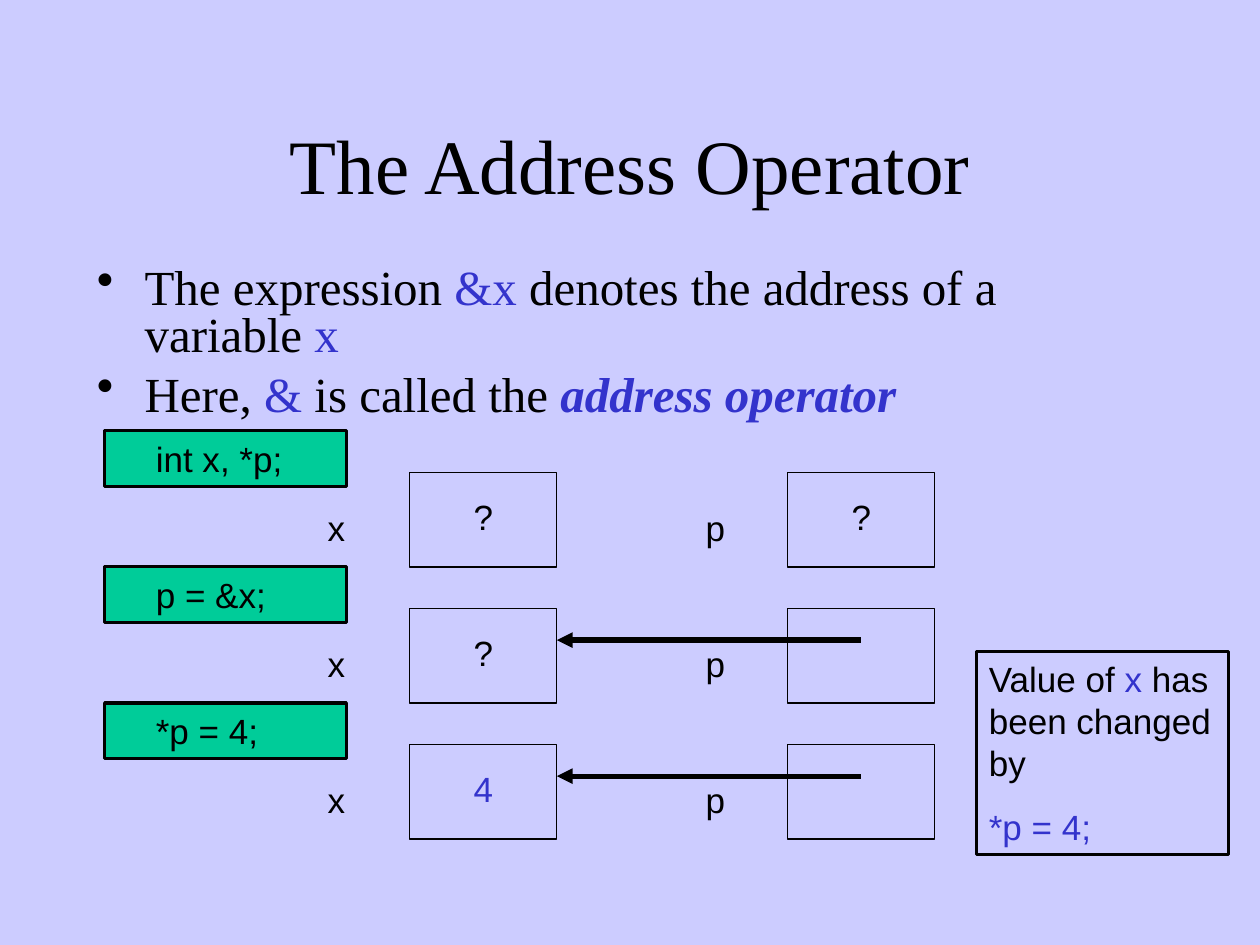
import dataclasses

import pptx
import pptx.dml.color
import pptx.enum.shapes
import pptx.enum.text
import pptx.oxml.xmlchemy
import pptx.util

Inches = pptx.util.Inches
Pt = pptx.util.Pt


@dataclasses.dataclass(frozen=True)
class Theme:
    """Colours, fonts and type sizes of the slide."""

    background: str = "CCCCFF"
    ink: str = "000000"
    accent: str = "3333CC"
    code_fill: str = "00CC99"
    serif: str = "Times New Roman"
    sans: str = "Arial"
    title_size: int = 44
    body_size: int = 28
    label_size: int = 20


THEME = Theme()


def rgb(value):
    """Turn a hex string into a colour."""
    return pptx.dml.color.RGBColor.from_string(value)


def append_element(parent, tag, **attributes):
    """Append a drawing element with its attributes."""
    element = pptx.oxml.xmlchemy.OxmlElement(tag)
    for name, value in attributes.items():
        element.set(name, value)
    parent.append(element)


def style_font(paragraph, size, name, color=THEME.ink):
    """Set the font that a whole paragraph shares."""
    paragraph.font.size = Pt(size)
    paragraph.font.name = name
    paragraph.font.color.rgb = rgb(color)


def add_runs(paragraph, parts):
    """Add runs, colouring those marked as accents."""
    for text, is_accent in parts:
        run = paragraph.add_run()
        run.text = text
        if is_accent:
            run.font.color.rgb = rgb(THEME.accent)


def add_bullet(paragraph):
    """Give a paragraph a round bullet with a hanging indent."""
    properties = paragraph._p.get_or_add_pPr()
    properties.set("marL", str(Inches(0.38)))
    properties.set("indent", str(Inches(-0.38)))
    append_element(properties, "a:buChar", char="•")


def add_text_frame(slide, left, top, width, height):
    """Add a wrapping text box and return its text frame."""
    box = slide.shapes.add_textbox(Inches(left), Inches(top), Inches(width), Inches(height))
    box.text_frame.word_wrap = True
    return box.text_frame


def add_box(slide, left, top, width, height, line_width, fill=None):
    """Add an outlined rectangle with text set from its top left corner."""
    shape = slide.shapes.add_shape(
        pptx.enum.shapes.MSO_SHAPE.RECTANGLE,
        Inches(left), Inches(top), Inches(width), Inches(height),
    )
    shape.shadow.inherit = False
    shape.line.color.rgb = rgb(THEME.ink)
    shape.line.width = Pt(line_width)
    if fill:
        shape.fill.solid()
        shape.fill.fore_color.rgb = rgb(fill)
    else:
        shape.fill.background()
    shape.text_frame.word_wrap = True
    shape.text_frame.vertical_anchor = pptx.enum.text.MSO_ANCHOR.TOP
    shape.text_frame.paragraphs[0].alignment = pptx.enum.text.PP_ALIGN.LEFT
    return shape


def add_title(slide, left, top, width, height):
    """Place the centred title."""
    frame = add_text_frame(slide, left, top, width, height)
    frame.vertical_anchor = pptx.enum.text.MSO_ANCHOR.MIDDLE
    paragraph = frame.paragraphs[0]
    paragraph.text = "The Address Operator"
    paragraph.alignment = pptx.enum.text.PP_ALIGN.CENTER
    style_font(paragraph, THEME.title_size, THEME.serif)


def add_explanation(slide, left, top, width, height):
    """Place the two bullets about the address operator."""
    frame = add_text_frame(slide, left, top, width, height)
    bullets = [
        [("The expression ", False), ("&x", True),
         (" denotes the address of a variable ", False), ("x", True)],
        [("Here, ", False), ("&", True), (" is called the ", False),
         ("address operator", True)],
    ]
    for index, parts in enumerate(bullets):
        paragraph = frame.add_paragraph() if index else frame.paragraphs[0]
        add_bullet(paragraph)
        paragraph.line_spacing = 0.8
        paragraph.space_before = Pt(7 if index else 0)
        style_font(paragraph, THEME.body_size, THEME.serif)
        add_runs(paragraph, parts)
    term = frame.paragraphs[-1].runs[-1]
    term.font.bold = term.font.italic = True


def add_label(slide, left, top, text, color=THEME.ink):
    """Place a variable name or value in a half-inch box."""
    frame = add_text_frame(slide, left, top, 0.5, 0.5)
    frame.margin_left = Inches(0.18)
    frame.margin_top = Inches(0.1)
    frame.paragraphs[0].text = text
    style_font(frame.paragraphs[0], THEME.label_size, THEME.sans, color)


def add_variable(slide, left, top, name, value, color=THEME.ink):
    """Draw a named memory cell with its value, if one is shown."""
    add_box(slide, left + 0.83, top, 1.17, 0.75, 0.75)
    add_label(slide, left, top + 0.17, name)
    if value:
        add_label(slide, left + 1.16, top + 0.08, value, color)


def add_pointer(slide, start, end, y):
    """Draw the arrow from the pointer cell to its target."""
    arrow = slide.shapes.add_connector(
        pptx.enum.shapes.MSO_CONNECTOR.STRAIGHT,
        Inches(start), Inches(y), Inches(end), Inches(y),
    )
    arrow.line.color.rgb = rgb(THEME.ink)
    arrow.line.width = Pt(3)
    properties = arrow._element.spPr
    append_element(properties.ln, "a:tailEnd", type="triangle")
    append_element(properties, "a:effectLst")


def add_step(slide, left, top, code, x_value, p_value, x_color):
    """Draw one statement and the memory state after it."""
    statement = add_box(slide, left, top, 1.92, 0.44, 1.75, THEME.code_fill)
    paragraph = statement.text_frame.paragraphs[0]
    paragraph.text = code
    style_font(paragraph, THEME.label_size, THEME.sans)
    cell_top = top + 0.33
    add_variable(slide, left + 1.59, cell_top, "x", x_value, x_color)
    add_variable(slide, left + 4.59, cell_top, "p", p_value)
    if not p_value:
        add_pointer(slide, left + 6, left + 3.59, cell_top + 0.25)


def add_note(slide, left, top, width, height):
    """Place the boxed remark about the changed value."""
    frame = add_box(slide, left, top, width, height, 1.75).text_frame
    remark = frame.paragraphs[0]
    statement = frame.add_paragraph()
    statement.alignment = pptx.enum.text.PP_ALIGN.LEFT
    statement.space_before = Pt(12.5)
    style_font(remark, THEME.label_size, THEME.sans)
    style_font(statement, THEME.label_size, THEME.sans, THEME.accent)
    add_runs(remark, [("Value of ", False), ("x", True), (" has been changed by", False)])
    add_runs(statement, [("*p = 4;", True)])


def main():
    """Build and save the slide."""
    presentation = pptx.Presentation()
    presentation.slide_width = Inches(10)
    presentation.slide_height = Inches(7.5)
    slide = presentation.slides.add_slide(presentation.slide_layouts[6])
    slide.background.fill.solid()
    slide.background.fill.fore_color.rgb = rgb(THEME.background)
    add_title(slide, 0.75, 0.67, 8.5, 1.25)
    add_explanation(slide, 0.67, 2.08, 8.5, 1.5)
    steps = [
        ("    int x, *p;", "?", "?", THEME.ink),
        ("    p = &x;", "?", None, THEME.ink),
        ("    *p = 4;", "4", None, THEME.accent),
    ]
    for index, step in enumerate(steps):
        add_step(slide, 0.83, 3.42 + index * 1.08, *step)
    add_note(slide, 7.75, 5.17, 2, 1.61)
    presentation.save("out.pptx")


if __name__ == "__main__":
    main()
